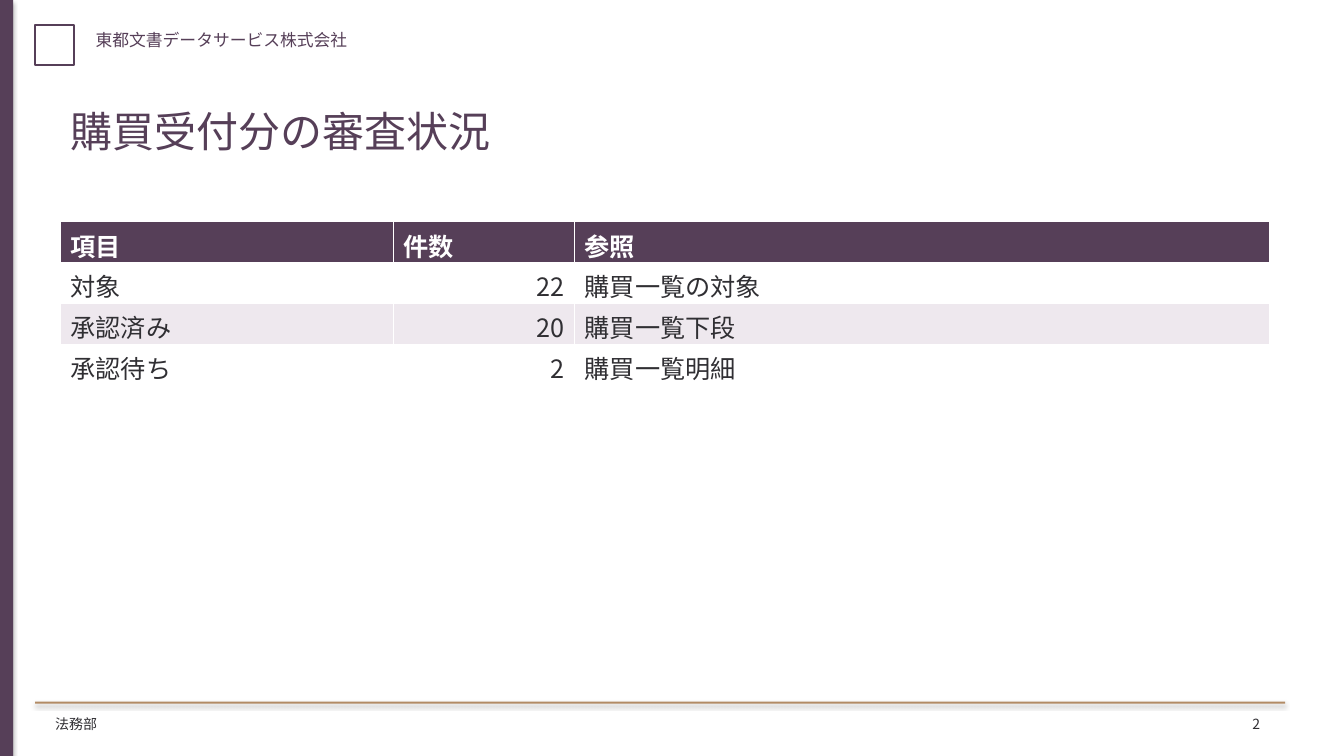
import pptx
import pptx.util
import pptx.dml.color
import pptx.enum.shapes
import pptx.enum.text
import pptx.oxml
import pptx.oxml.ns

Pt = pptx.util.Pt
ALIGN = pptx.enum.text.PP_ALIGN
ANCHOR = pptx.enum.text.MSO_ANCHOR
NS = pptx.oxml.ns.nsdecls("a")
FONT = "Noto Sans CJK JP"
PLUM, TAN, INK, WHITE, LILAC = "563F58", "B28B65", "302F33", "FFFFFF", "EEE8EE"

COLUMNS = [237.6, 129.6, 496.8]
ROWS = [
    ["項目", "件数", "参照"],
    ["対象", "22", "購買一覧の対象"],
    ["承認済み", "20", "購買一覧下段"],
    ["承認待ち", "2", "購買一覧明細"],
]


def rgb(value):
    return pptx.dml.color.RGBColor.from_string(value)


def write(tf, text, size, color, align=ALIGN.LEFT, bold=False):
    p = tf.paragraphs[0]
    p.text = text
    p.alignment = align
    p.font.size = Pt(size)
    p.font.bold = bold
    p.font.name = FONT
    p.font.color.rgb = rgb(color)
    props = p._p.pPr.find(pptx.oxml.ns.qn("a:defRPr"))
    props.append(pptx.oxml.parse_xml(f'<a:ea {NS} typeface="{FONT}"/>'))


def add_text(s, box, text, size, color, align=ALIGN.LEFT):
    sp = s.shapes.add_textbox(*map(Pt, box))
    sp.text_frame.word_wrap = True
    write(sp.text_frame, text, size, color, align)


def add_rect(s, box):
    sp = s.shapes.add_shape(pptx.enum.shapes.MSO_SHAPE.RECTANGLE, *map(Pt, box))
    sp.shadow.inherit = False
    return sp


def add_emblem(s, box):
    sp = add_rect(s, box)
    sp.fill.background()
    sp.line.color.rgb = rgb(PLUM)
    sp.line.width = Pt(1.5)


def add_band(s, box, color):
    sp = add_rect(s, box)
    sp.fill.solid()
    sp.fill.fore_color.rgb = rgb(color)
    sp.line.fill.background()
    effects = sp._element.spPr.find(pptx.oxml.ns.qn("a:effectLst"))
    effects.append(pptx.oxml.parse_xml(
        f'<a:outerShdw {NS} blurRad="{Pt(3.1)}" dist="{Pt(1.8)}" dir="5400000" rotWithShape="0">'
        '<a:srgbClr val="000000"><a:alpha val="35000"/></a:srgbClr></a:outerShdw>'))


def set_title(s, box, text):
    sp = s.shapes.title
    sp.left, sp.top, sp.width, sp.height = map(Pt, box)
    sp.text_frame.word_wrap = True
    sp.text_frame.vertical_anchor = ANCHOR.TOP
    write(sp.text_frame, text, 30, PLUM)


def add_table(s, left, top, row_height):
    frame = s.shapes.add_table(len(ROWS), len(COLUMNS), Pt(left), Pt(top),
                               Pt(sum(COLUMNS)), Pt(row_height * len(ROWS)))
    table = frame.table
    for column, width in zip(table.columns, COLUMNS):
        column.width = Pt(width)
    for i, row in enumerate(ROWS):
        header = i == 0
        fill = PLUM if header else LILAC if i % 2 == 0 else WHITE
        for j, text in enumerate(row):
            cell = table.cell(i, j)
            cell.fill.solid()
            cell.fill.fore_color.rgb = rgb(fill)
            cell.vertical_anchor = ANCHOR.MIDDLE
            align = ALIGN.RIGHT if j == 1 and not header else ALIGN.LEFT
            write(cell.text_frame, text, 18, WHITE if header else INK, align, header)


def main():
    prs = pptx.Presentation()
    prs.slide_width, prs.slide_height = Pt(960), Pt(540)
    s = prs.slides.add_slide(prs.slide_layouts[5])
    add_emblem(s, (25.2, 18, 28, 28.8))
    add_band(s, (0, 0, 9.36, 540), PLUM)
    add_band(s, (25.2, 501.12, 892.8, 1.44), TAN)
    add_text(s, (61.2, 18, 720, 28.8), "東都文書データサービス株式会社", 12, PLUM)
    add_text(s, (32.4, 507.6, 720, 21.6), "法務部", 10, INK)
    set_title(s, (43.2, 72, 864, 72), "購買受付分の審査状況")
    add_table(s, 43.2, 158.4, 29.16)
    add_text(s, (864, 507.6, 43.2, 21.6), "2", 10, INK, ALIGN.RIGHT)
    prs.save("out.pptx")


if __name__ == "__main__":
    main()
